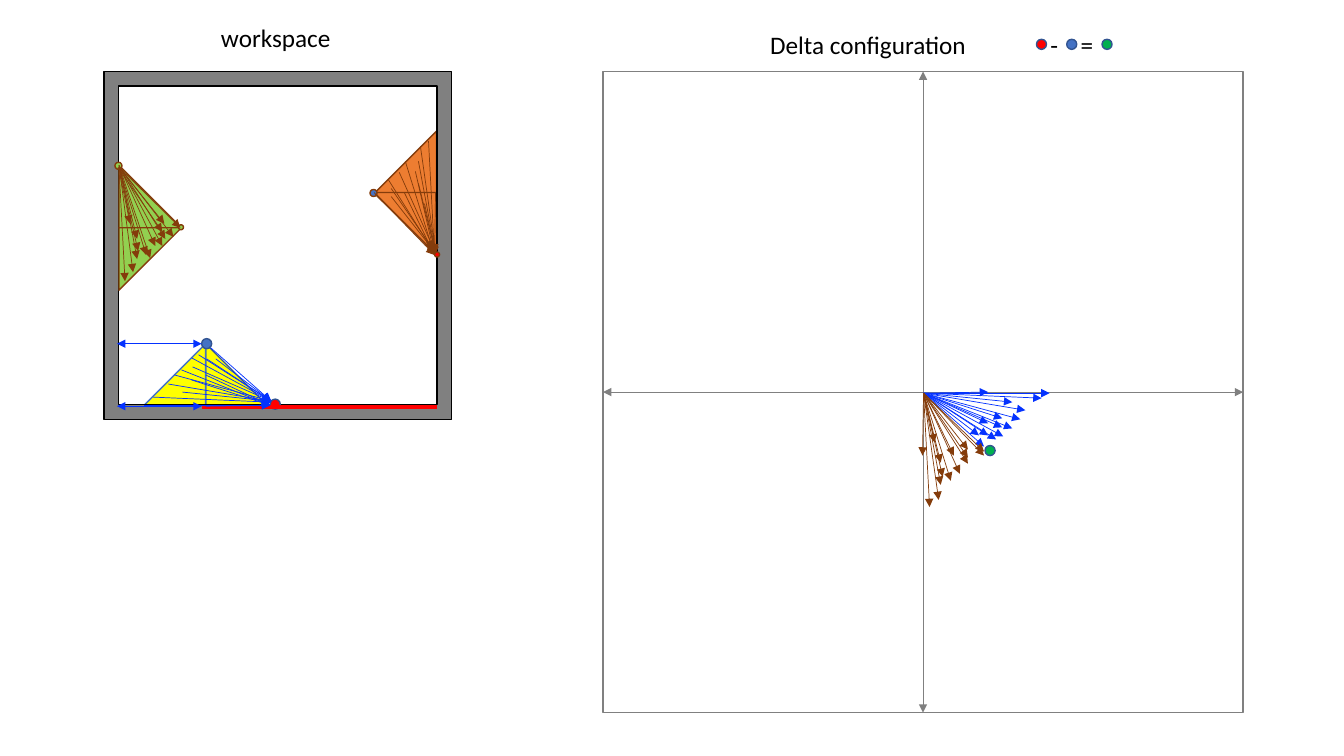
from lxml import etree
from pptx import Presentation, util as u
from pptx.dml import color
from pptx.enum import shapes, text
from pptx.oxml import ns

BLUE, BROWN, GRAY, NAVY = "0432FF", "843C0B", "808080", "325491"
RED, SKY, GREEN, LIME = "FF0000", "4472C4", "00B050", "92D050"
ORANGE, YELLOW, BLACK = "ED7D31", "FFFF00", "000000"
SIDE = 0.62
START = (9.16, 3.9)
PANEL = (5.98, 0.71, 6.35, 6.36)

RIGHT = [(3.71, 1.3, "H", ORANGE, BROWN), (3.71, 1.91, "HV", ORANGE, BROWN)]
FLOOR = [(2.04, 3.41, "", YELLOW, NAVY), (1.42, 3.41, "H", YELLOW, SKY)]
LEFT = [(1.18, 1.64, "", LIME, BROWN), (1.18, 2.26, "V", LIME, BROWN)]

FLOOR_DOTS = [(2, 3.36, 0.1, SKY, NAVY), (2.68, 3.96, 0.1, RED, NAVY)]
KEY_DOTS = [(10.28, 0.39, 0.1, RED, NAVY), (10.58, 0.39, 0.1, SKY, NAVY),
            (10.93, 0.39, 0.1, GREEN, NAVY), (9.77, 4.42, 0.1, GREEN, NAVY)]
RIGHT_DOTS = [(3.67, 1.88, 0.07, SKY, BROWN), (4.31, 2.5, 0.05, RED, BROWN)]
LEFT_DOTS = [(1.14, 1.61, 0.07, LIME, BROWN), (1.77, 2.23, 0.05, LIME, BROWN)]

FLOOR_RAYS = [
    (2.09, 3.45, 2.69, 3.98), (1.43, 4.02, 2.68, 4.02), (1.52, 3.94, 2.69, 3.99),
    (1.67, 3.81, 2.68, 3.98), (1.8, 3.67, 2.68, 4.02), (1.9, 3.55, 2.69, 3.98),
    (2.05, 3.56, 2.69, 3.98), (2.04, 3.72, 2.68, 4.02), (2.04, 4.03, 2.68, 4.02),
    (1.9, 3.77, 2.68, 4.02), (1.81, 3.89, 2.69, 3.98), (1.91, 3.64, 2.69, 3.98),
    (1.73, 3.72, 2.69, 3.98), (2.14, 3.56, 2.69, 3.98), (1.97, 3.52, 2.69, 3.98)]
RIGHT_RAYS = [
    (3.72, 1.93, 4.32, 2.51), (3.71, 1.91, 4.31, 2.53), (3.85, 1.78, 4.29, 2.48),
    (4.02, 1.6, 4.29, 2.47), (4.25, 1.4, 4.31, 2.53), (3.96, 1.71, 4.32, 2.51),
    (3.88, 1.95, 4.32, 2.51), (4.32, 1.91, 4.31, 2.53), (4.12, 1.7, 4.31, 2.53),
    (4.01, 1.91, 4.31, 2.53), (4.15, 1.82, 4.32, 2.51), (4.21, 2.02, 4.32, 2.51),
    (4.17, 1.45, 4.32, 2.51), (4.15, 1.6, 4.32, 2.51), (3.88, 1.87, 4.32, 2.51)]
LEFT_RAYS = [
    (1.19, 1.67, 1.79, 2.26), (1.18, 1.65, 1.72, 2.35), (1.2, 1.67, 1.64, 2.37),
    (1.18, 1.66, 1.45, 2.53), (1.18, 1.66, 1.24, 2.79), (1.18, 1.64, 1.54, 2.44),
    (1.19, 1.67, 1.63, 2.22), (1.19, 1.67, 1.49, 2.56), (1.18, 1.66, 1.37, 2.49),
    (1.18, 1.64, 1.61, 2.44), (1.19, 1.68, 1.36, 2.37), (1.19, 1.73, 1.29, 2.22),
    (1.18, 1.64, 1.32, 2.7), (1.19, 1.66, 1.36, 2.57), (1.17, 1.66, 1.61, 2.3)]

deck = Presentation()
deck.slide_width, deck.slide_height = u.Inches(13.33), u.Inches(7.5)
slide = deck.slides.add_slide(deck.slide_layouts[5])
KIND = shapes.MSO_SHAPE


def rgb(code):
    return color.RGBColor.from_string(code)


def add(kind, box, fill, edge):
    shape = slide.shapes.add_shape(kind, *map(u.Inches, box))
    shape.shadow.inherit = False
    if fill:
        shape.fill.solid()
        shape.fill.fore_color.rgb = rgb(fill)
    else:
        shape.fill.background()
    shape.line.color.rgb = rgb(edge)
    shape.line.width = u.Pt(1)
    return shape


def wedges(items):
    for x, y, flip, fill, edge in items:
        shape = add(KIND.RIGHT_TRIANGLE, (x, y, SIDE, SIDE), fill, edge)
        for axis in flip:
            shape.element.spPr.xfrm.set("flip" + axis, "1")


def dots(items):
    for x, y, size, fill, edge in items:
        add(KIND.OVAL, (x, y, size, size), fill, edge)


def link(ends, ink, tips=("tailEnd",), width=0.5):
    line = slide.shapes.add_connector(shapes.MSO_CONNECTOR.STRAIGHT, *map(u.Inches, ends))
    line.line.color.rgb = rgb(ink)
    line.line.width = u.Pt(width)
    for tip in tips:
        etree.SubElement(line.line._get_or_add_ln(), ns.qn("a:" + tip), type="triangle")
    etree.SubElement(line.element.spPr, ns.qn("a:effectLst"))
    return line


def rays(items, ink):
    for ends in items:
        link(ends, ink)


def shift(items):
    x, y = START
    return [(x, y, x + c - a, y + d - b) for a, b, c, d in items]


def label(shape, box, words, align, stops=()):
    shape.left, shape.top, shape.width, shape.height = map(u.Inches, box)
    frame = shape.text_frame
    frame.text = words
    frame.word_wrap = True
    frame.auto_size = text.MSO_AUTO_SIZE.SHAPE_TO_FIT_TEXT
    frame.vertical_anchor = text.MSO_ANCHOR.TOP
    para = frame.paragraphs[0]
    para.alignment = align
    if stops:
        tabs = etree.SubElement(para._p.get_or_add_pPr(), ns.qn("a:tabLst"))
        for stop in stops:
            etree.SubElement(tabs, ns.qn("a:tab"), pos=str(u.Inches(stop)), algn="l")
    for run in para.runs:
        run.font.size, run.font.name = u.Pt(18), "Calibri"
        run.font.color.rgb = rgb(BLACK)


BOTH = ("headEnd", "tailEnd")
wedges(RIGHT + FLOOR)
wall = add(KIND.FRAME, (1.03, 0.71, 3.45, 3.45), GRAY, BLACK)
wall.adjustments[0] = 0.042
dots(FLOOR_DOTS)
for y in (3.41, 4.03):
    link((2, y, 1.16, y), BLUE, BOTH)
link((2, 4.04, 4.33, 4.04), RED, (), 3)
label(slide.shapes.title, (1.43, 0.17, 2.61, 0.4), "workspace", text.PP_ALIGN.CENTER)
rays(FLOOR_RAYS, BLUE)

panel = add(KIND.RECTANGLE, PANEL, None, GRAY)
for first, last in ((0, 2), (1, 3)):
    axis = link((0, 0, 1, 1), GRAY, BOTH)
    axis.begin_connect(panel, first)
    axis.end_connect(panel, last)
label(slide.shapes.add_textbox(0, 0, 0, 0), (7.54, 0.24, 3.74, 0.4),
      "Delta configuration\t-\t=", text.PP_ALIGN.LEFT, (2.78, 3.08))
dots(KEY_DOTS)
rays(shift(FLOOR_RAYS), BLUE)
dots(RIGHT_DOTS)
rays(RIGHT_RAYS + shift(RIGHT_RAYS), BROWN)
wedges(LEFT)
dots(LEFT_DOTS)
rays(LEFT_RAYS, BROWN)
deck.save("out.pptx")
